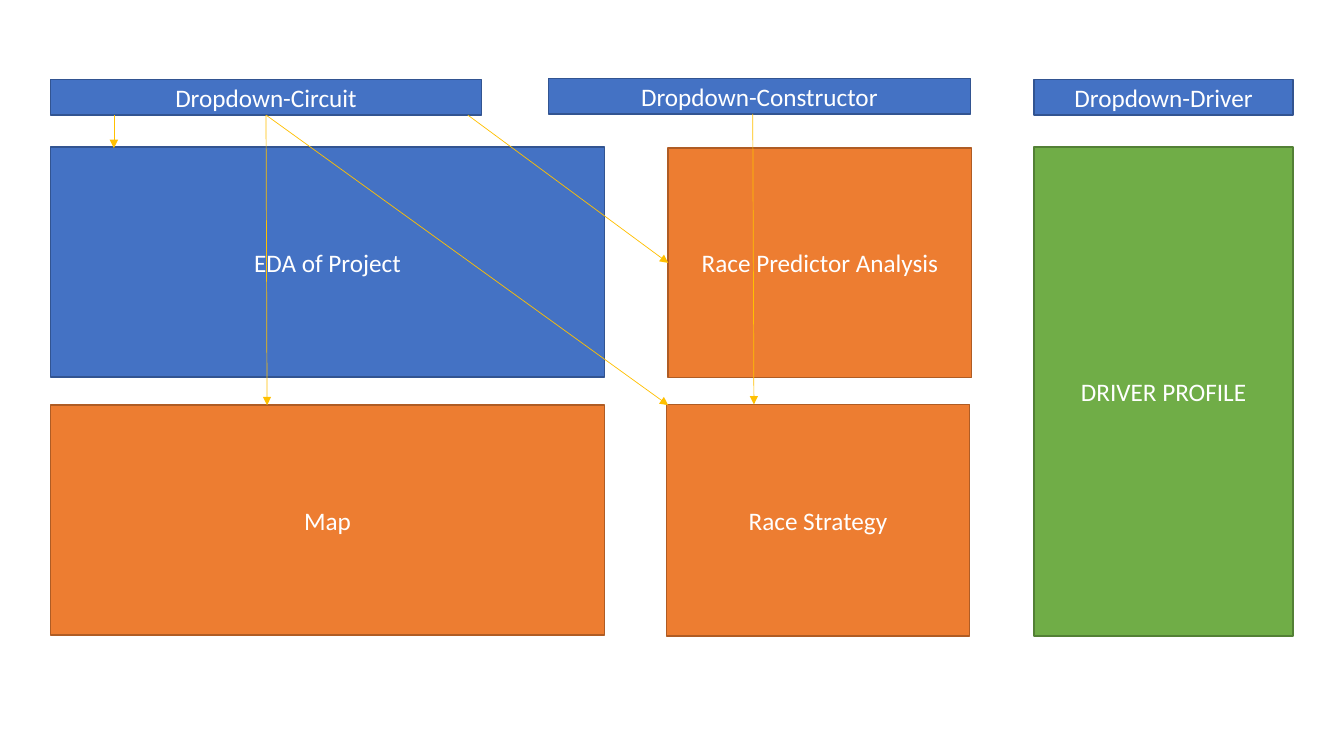
"""Build a dashboard wireframe slide with dropdowns, panels and the arrows linking them."""

import dataclasses
from typing import Optional

import lxml.etree
import pptx
import pptx.dml.color
import pptx.enum.shapes
import pptx.enum.text
import pptx.oxml.ns
import pptx.shapes.autoshape
import pptx.slide
import pptx.util

Cm = pptx.util.Cm
BOTTOM, LEFT = 2, 1


@dataclasses.dataclass(frozen=True)
class Tone:
    fill: str
    outline: str


@dataclasses.dataclass(frozen=True)
class Theme:
    blue: Tone = Tone("4472C4", "325491")
    orange: Tone = Tone("ED7D31", "AF5C24")
    green: Tone = Tone("70AD47", "538035")
    label: str = "FFFFFF"
    arrow: str = "FFC000"
    font: str = "Calibri"
    label_size: float = 18
    outline_width: float = 1
    arrow_width: float = 0.5


@dataclasses.dataclass(frozen=True)
class Panel:
    label: str
    left: float
    top: float
    width: float
    height: float
    tone: Tone


@dataclasses.dataclass(frozen=True)
class Arrow:
    start: tuple[float, float]
    end: tuple[float, float]
    source: Optional[str] = None
    target: Optional[str] = None


THEME = Theme()
MARGIN, DRIVER_LEFT = 1.27, 26.06
WIDE, DRIVER_WIDTH = 13.97, 6.53
RACE_WIDTH = 7.65
BAR_TOP, BAR_HEIGHT = 2.01, 0.89
BAR_BOTTOM = BAR_TOP + BAR_HEIGHT
PANEL_TOP, PANEL_HEIGHT = 3.71, 5.79
MAP_TOP = 10.21
CIRCUIT, PREDICTOR = "Dropdown-Circuit", "Race Predictor Analysis"

PANELS = [
    Panel("EDA of Project", MARGIN, PANEL_TOP, WIDE, PANEL_HEIGHT, THEME.blue),
    Panel(PREDICTOR, 16.84, 3.73, RACE_WIDTH, PANEL_HEIGHT, THEME.orange),
    Panel("Race Strategy", 16.79, 10.19, RACE_WIDTH, 5.84, THEME.orange),
    Panel("Dropdown-Constructor", 13.82, 1.98, 10.64, BAR_HEIGHT, THEME.blue),
    Panel("Dropdown-Driver", DRIVER_LEFT, BAR_TOP, DRIVER_WIDTH, BAR_HEIGHT, THEME.blue),
    Panel(CIRCUIT, MARGIN, BAR_TOP, 10.87, BAR_HEIGHT, THEME.blue),
    Panel("Map", MARGIN, MAP_TOP, WIDE, PANEL_HEIGHT, THEME.orange),
    Panel("DRIVER PROFILE", DRIVER_LEFT, PANEL_TOP, DRIVER_WIDTH, 12.32, THEME.green),
]

ARROWS = [
    Arrow((2.87, BAR_BOTTOM), (2.87, 3.73)),
    Arrow((6.71, BAR_BOTTOM), (6.73, MAP_TOP), source=CIRCUIT),
    Arrow((18.97, 2.87), (19, 10.19)),
    Arrow((11.79, BAR_BOTTOM), (16.84, 6.63), target=PREDICTOR),
    Arrow((6.71, BAR_BOTTOM), (16.84, MAP_TOP), source=CIRCUIT),
]


def rgb(value: str) -> pptx.dml.color.RGBColor:
    """Turn a hex string into a colour."""
    return pptx.dml.color.RGBColor.from_string(value)


def draw_panel(slide: pptx.slide.Slide, panel: Panel) -> pptx.shapes.autoshape.Shape:
    """Draw one labelled rectangle."""
    box = slide.shapes.add_shape(
        pptx.enum.shapes.MSO_SHAPE.RECTANGLE,
        Cm(panel.left), Cm(panel.top), Cm(panel.width), Cm(panel.height),
    )
    box.shadow.inherit = False
    box.fill.solid()
    box.fill.fore_color.rgb = rgb(panel.tone.fill)
    box.line.color.rgb = rgb(panel.tone.outline)
    box.line.width = pptx.util.Pt(THEME.outline_width)
    frame = box.text_frame
    frame.word_wrap = True
    frame.vertical_anchor = pptx.enum.text.MSO_ANCHOR.MIDDLE
    paragraph = frame.paragraphs[0]
    paragraph.alignment = pptx.enum.text.PP_ALIGN.CENTER
    run = paragraph.add_run()
    run.text = panel.label
    run.font.name = THEME.font
    run.font.size = pptx.util.Pt(THEME.label_size)
    run.font.color.rgb = rgb(THEME.label)
    return box


def draw_arrow(
    slide: pptx.slide.Slide, arrow: Arrow, boxes: dict[str, pptx.shapes.autoshape.Shape]
) -> None:
    """Draw one arrow, joined to its boxes where it meets the middle of a side."""
    link = slide.shapes.add_connector(
        pptx.enum.shapes.MSO_CONNECTOR.STRAIGHT,
        *(Cm(length) for length in arrow.start + arrow.end),
    )
    if arrow.source:
        link.begin_connect(boxes[arrow.source], BOTTOM)
    if arrow.target:
        link.end_connect(boxes[arrow.target], LEFT)
    link.line.color.rgb = rgb(THEME.arrow)
    link.line.width = pptx.util.Pt(THEME.arrow_width)
    qn = pptx.oxml.ns.qn
    properties = link.line._get_or_add_ln()
    lxml.etree.SubElement(properties, qn("a:tailEnd"), type="triangle")
    lxml.etree.SubElement(properties.getparent(), qn("a:effectLst"))


def main() -> None:
    """Build and save the slide."""
    deck = pptx.Presentation()
    deck.slide_width, deck.slide_height = Cm(33.87), Cm(19.05)
    slide = deck.slides.add_slide(deck.slide_layouts[6])
    boxes = {panel.label: draw_panel(slide, panel) for panel in PANELS}
    for arrow in ARROWS:
        draw_arrow(slide, arrow, boxes)
    deck.save("out.pptx")


if __name__ == "__main__":
    main()
